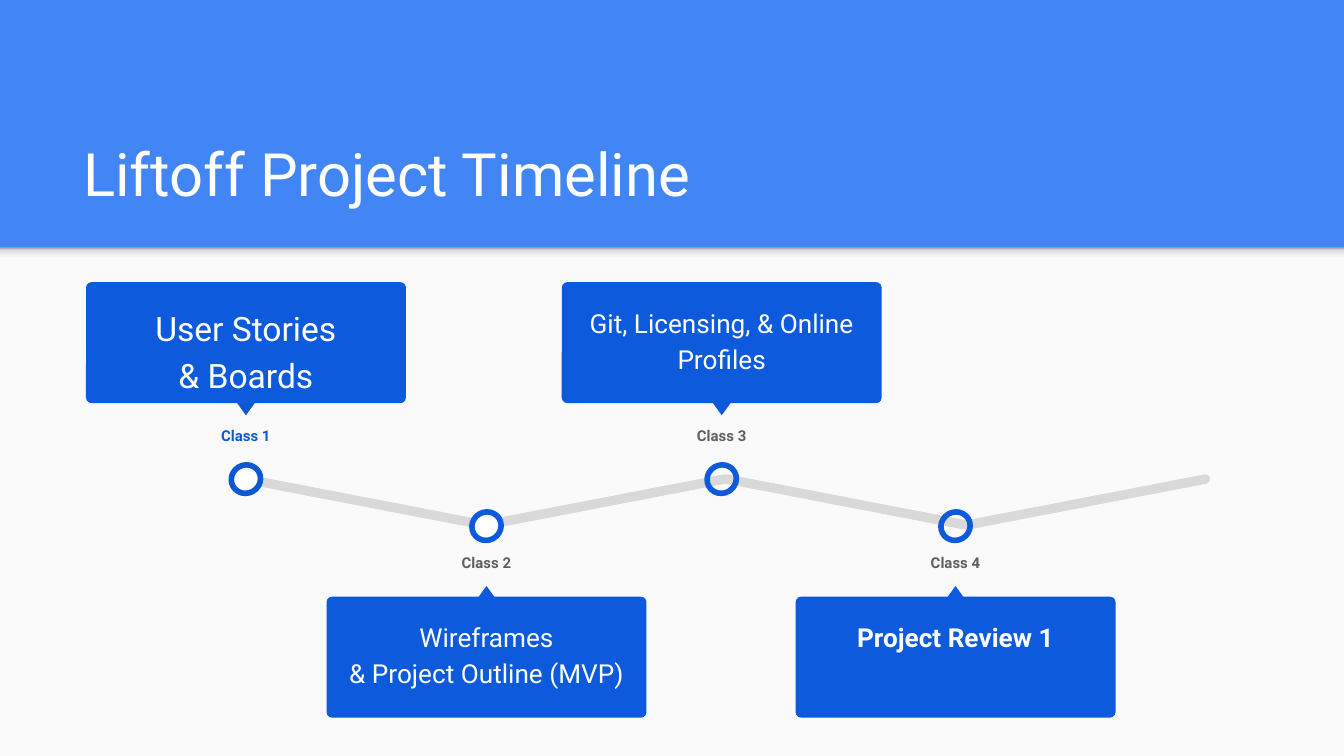
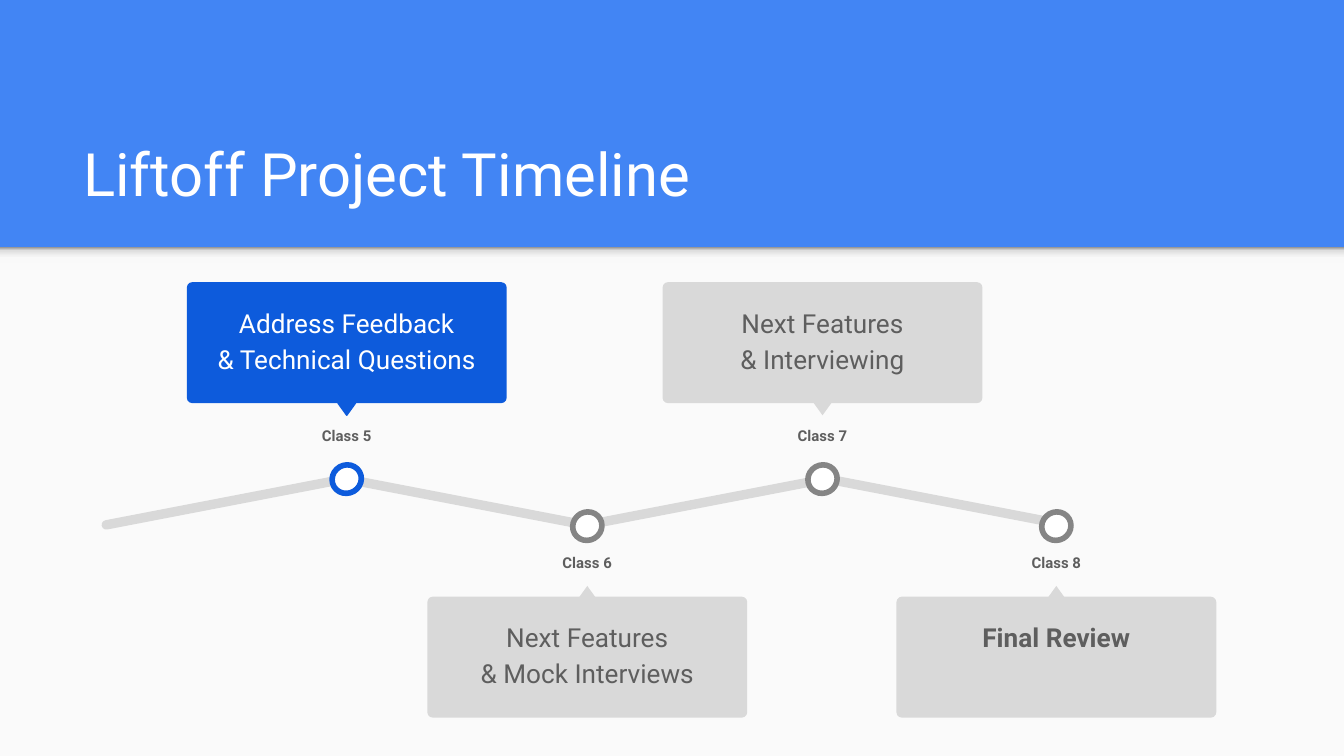
from dataclasses import dataclass

from lxml import etree
from pptx import Presentation
from pptx import util as u
from pptx.dml.color import RGBColor
from pptx.enum import shapes, text
from pptx.oxml.ns import qn

# Lengths are counted in grid cells, 100 columns across the slide.
CELL = u.Inches(0.1)
COLUMNS, ROWS = 100, 56.25
BAND_ROWS = 18.4

FONT = "Roboto"
BAND_BLUE = RGBColor(0x42, 0x85, 0xF4)
BLUE = RGBColor(0x0D, 0x5B, 0xDC)
FIRST_BLUE = RGBColor(0x0C, 0x58, 0xD3)
PAPER = RGBColor(0xFA, 0xFA, 0xFA)
WHITE = RGBColor(0xFF, 0xFF, 0xFF)
PALE_GREY = RGBColor(0xD9, 0xD9, 0xD9)
RING_GREY = RGBColor(0x85, 0x85, 0x85)
TEXT_GREY = RGBColor(0x5E, 0x5E, 0x5E)
SHADOW_STOPS = ((0, "F9F9F9"), (36, "F9F9F9"), (80, "DEDEDE"), (100, "999999"))

TITLE = "Liftoff Project Timeline"
MILESTONE_OFFSETS = (0, 17.9, 35.4, 52.8)
SEGMENT_PITCH = 17.9
SLOPE = 10.9
CARD_WIDTH, CARD_HEIGHT = 23.8, 9
UPPER_TOP, LOWER_TOP = 21, 38.1
# Rows from the top of a milestone, for one above and one below the line.
UPPER_ROWS = {"card": 0, "pointer": 9, "label": 9.8, "marker": 13.6}
LOWER_ROWS = {"marker": 0, "label": 2.1, "pointer": 5.5, "card": 6.3}


@dataclass
class Box:
    left: float
    top: float
    width: float
    height: float

    def lengths(self):
        return [round(cells * CELL) for cells in
                (self.left, self.top, self.width, self.height)]

    def centred(self, row, width, height):
        return Box(self.left + (self.width - width) / 2, self.top + row, width, height)

    def inset(self, across, down):
        return Box(self.left + across, self.top + down,
                   self.width - 2 * across, self.height - 2 * down)


@dataclass
class Milestone:
    label: str
    lines: tuple
    size: int = 14
    bold: bool = False
    card: RGBColor = BLUE
    ink: RGBColor = WHITE
    ring: RGBColor = BLUE
    pointer: RGBColor = BLUE
    pointer_line: bool = False
    label_ink: RGBColor = TEXT_GREY
    filled: bool = True


UPCOMING = {"card": PALE_GREY, "ink": TEXT_GREY, "ring": RING_GREY, "pointer": PALE_GREY}
FIRST_HALF = (
    Milestone("Class 1", ("User Stories", "& Boards"), size=18, ring=FIRST_BLUE,
              pointer=FIRST_BLUE, label_ink=FIRST_BLUE),
    Milestone("Class 2", ("Wireframes", "& Project Outline (MVP)")),
    Milestone("Class 3", ("Git, Licensing, & Online Profiles",), filled=False),
    Milestone("Class 4", ("Project Review 1",), bold=True, filled=False),
)
SECOND_HALF = (
    Milestone("Class 5", ("Address Feedback", "& Technical Questions"), pointer_line=True),
    Milestone("Class 6", ("Next Features", "& Mock Interviews"), **UPCOMING),
    Milestone("Class 7", ("Next Features", "& Interviewing"), **UPCOMING),
    Milestone("Class 8", ("Final Review",), bold=True, **UPCOMING),
)


def add_preset(parent, kind, box, fill=None, line=None, weight=0.75, rotation=0):
    shape = parent.shapes.add_shape(kind, *box.lengths())
    shape.shadow.inherit = False
    shape.rotation = rotation
    if fill is None:
        shape.fill.background()
    else:
        shape.fill.solid()
        shape.fill.fore_color.rgb = fill
    if line is None:
        shape.line.fill.background()
    else:
        shape.line.color.rgb = line
        shape.line.width = u.Pt(weight)
    return shape


def set_insets(frame):
    frame.word_wrap = True
    frame.margin_left = frame.margin_right = CELL
    frame.margin_top = frame.margin_bottom = CELL


def add_run(paragraph, words, size, color, bold=False):
    run = paragraph.add_run()
    run.text = words
    run.font.name = FONT
    run.font.size = u.Pt(size)
    run.font.bold = bold
    run.font.color.rgb = color


def add_centred_text(parent, box, lines, size, color, bold):
    frame = parent.shapes.add_textbox(*box.lengths()).text_frame
    set_insets(frame)
    paragraph = frame.paragraphs[0]
    paragraph.alignment = text.PP_ALIGN.CENTER
    paragraph.line_spacing = 1.15
    paragraph.space_after = u.Pt(16)
    for index, words in enumerate(lines):
        if index:
            paragraph.add_line_break()
        add_run(paragraph, words, size, color, bold)


def add_band_shadow(slide, box):
    """Strip that fades from grey at the band's edge into the paper."""
    shadow = add_preset(slide, shapes.MSO_SHAPE.RECTANGLE, box)
    shadow.fill.gradient()
    shadow.fill.gradient_angle = 90
    stops = shadow._element.spPr.find(qn("a:gradFill")).find(qn("a:gsLst"))
    for stop in list(stops):
        stops.remove(stop)
    for percent, color in SHADOW_STOPS:
        stop = etree.SubElement(stops, qn("a:gs"), pos=str(percent * 1000))
        etree.SubElement(stop, qn("a:srgbClr"), val=color)


def add_title(slide, box):
    title = slide.shapes.title
    title.left, title.top, title.width, title.height = box.lengths()
    frame = title.text_frame
    set_insets(frame)
    frame.vertical_anchor = text.MSO_ANCHOR.BOTTOM
    paragraph = frame.paragraphs[0]
    paragraph.alignment = text.PP_ALIGN.LEFT
    add_run(paragraph, TITLE, 32, WHITE)


def add_segment(slide, box, rising):
    bar = add_preset(slide, shapes.MSO_SHAPE.ROUNDED_RECTANGLE, box, PALE_GREY,
                     rotation=-SLOPE if rising else SLOPE)
    bar.adjustments[0] = 0.5


def add_milestone(slide, box, rows, milestone):
    group = slide.shapes.add_group_shape()
    card_box = box.centred(rows["card"], CARD_WIDTH, CARD_HEIGHT)
    card = add_preset(group, shapes.MSO_SHAPE.ROUNDED_RECTANGLE, card_box, milestone.card)
    card.adjustments[0] = 0.045
    add_preset(group, shapes.MSO_SHAPE.ISOSCELES_TRIANGLE,
               box.centred(rows["pointer"], 1.3, 0.9), milestone.pointer,
               line=milestone.pointer if milestone.pointer_line else None,
               rotation=180 if rows is UPPER_ROWS else 0)
    add_centred_text(group, card_box.inset(0.6, 0.5), milestone.lines,
                     milestone.size, milestone.ink, milestone.bold)
    add_centred_text(group, box.centred(rows["label"], 9.7, 3.5), (milestone.label,),
                     8, milestone.label_ink, True)
    add_preset(group, shapes.MSO_SHAPE.OVAL, box.centred(rows["marker"], 2.2, 2.1),
               WHITE if milestone.filled else None, milestone.ring, 3, rotation=330.2)


def add_timeline(slide, start, milestones, first_segment):
    """Zigzag line with milestones; start is the column of the first marker."""
    for index in range(first_segment, first_segment + 4):
        left = start - 0.5 + index * SEGMENT_PITCH
        add_segment(slide, Box(left, 37, 18.7, 0.7), rising=index % 2 == 1)
    for index, (offset, milestone) in enumerate(zip(MILESTONE_OFFSETS, milestones)):
        lower = index % 2 == 1
        box = Box(start + offset - CARD_WIDTH / 2, LOWER_TOP if lower else UPPER_TOP,
                  CARD_WIDTH, 15.5)
        add_milestone(slide, box, LOWER_ROWS if lower else UPPER_ROWS, milestone)


def add_timeline_slide(presentation, start, milestones, first_segment):
    slide = presentation.slides.add_slide(presentation.slide_layouts[5])
    add_preset(slide, shapes.MSO_SHAPE.RECTANGLE,
               Box(0, BAND_ROWS, COLUMNS, ROWS - BAND_ROWS), PAPER)
    add_band_shadow(slide, Box(0, BAND_ROWS, COLUMNS, 1.2))
    add_title(slide, Box(5.2, 8.1, 89.9, 8.4))
    add_timeline(slide, start, milestones, first_segment)


def main():
    presentation = Presentation()
    presentation.slide_width = round(COLUMNS * CELL)
    presentation.slide_height = round(ROWS * CELL)
    background = presentation.slide_master.background.fill
    background.solid()
    background.fore_color.rgb = BAND_BLUE
    add_timeline_slide(presentation, 18.3, FIRST_HALF, first_segment=0)
    add_timeline_slide(presentation, 25.8, SECOND_HALF, first_segment=-1)
    presentation.save("out.pptx")


if __name__ == "__main__":
    main()
